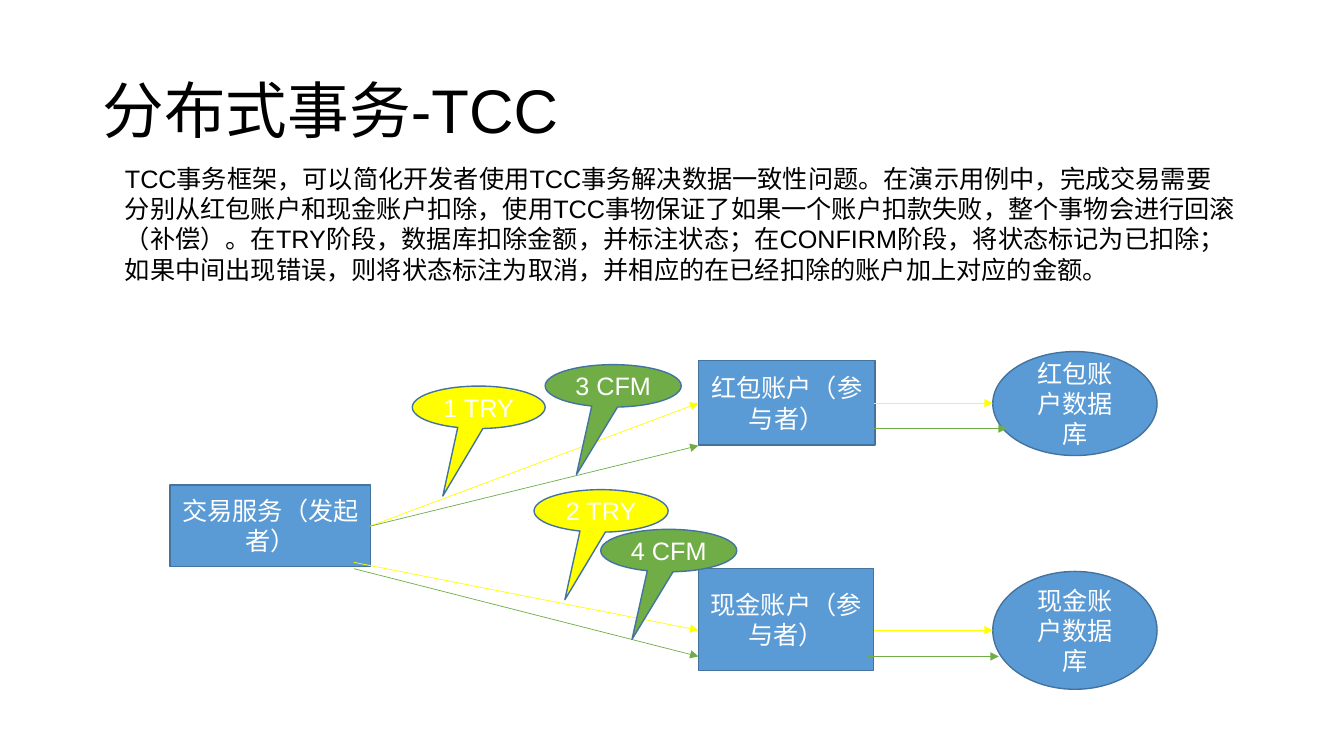
from lxml import etree
from pptx import Presentation
from pptx.dml.color import RGBColor
from pptx.enum import shapes, text
from pptx.oxml.ns import qn
from pptx.util import Cm, Pt

COLORS = {"black": "000000", "white": "FFFFFF", "blue": "5B9BD5",
          "edge": "43739E", "yellow": "FFFF00", "green": "70AD47"}
KIND = shapes.MSO_SHAPE
BODY = ("TCC事务框架，可以简化开发者使用TCC事务解决数据一致性问题。在演示用例中，"
        "完成交易需要分别从红包账户和现金账户扣除，使用TCC事物保证了如果一个账户扣款失败，"
        "整个事物会进行回滚（补偿）。在TRY阶段，数据库扣除金额，并标注状态；"
        "在CONFIRM阶段，将状态标记为已扣除；如果中间出现错误，则将状态标注为取消，"
        "并相应的在已经扣除的账户加上对应的金额。")
NODES = [
    (KIND.RECTANGLE, "交易服务（发起者）", (4.29, 12.22, 5.05, 2.06)),
    (KIND.RECTANGLE, "红包账户（参与者）", (17.6, 9.09, 4.45, 2.13)),
    (KIND.RECTANGLE, "现金账户（参与者）", (17.6, 14.33, 4.42, 2.57)),
    (KIND.OVAL, "红包账户数据库", (25.02, 8.86, 4.14, 2.62)),
    (KIND.OVAL, "现金账户数据库", (25.02, 14.4, 4.14, 2.97)),
]
ARROWS = {
    "yellow": [(9.32, 13.26, 17.6, 10.16), (22.02, 10.16, 25.02, 10.16),
               (8.92, 14.17, 17.6, 15.88), (22.02, 15.88, 25.02, 15.88)],
    "green": [(9.32, 13.26, 17.6, 11.23), (22.02, 10.8, 25.37, 10.8),
              (8.92, 14.33, 17.6, 16.54), (21.84, 16.54, 25.17, 16.54)],
}
CALLS = [
    ("1 TRY", "yellow", (10.39, 9.73, 3.35, 1.07)),
    ("2 TRY", "yellow", (13.46, 12.34, 3.38, 1.07)),
    ("3 CFM", "green", (13.74, 9.19, 3.43, 1.07)),
    ("4 CFM", "green", (15.14, 13.34, 3.43, 1.07)),
]


def paint(name):
    """Return the named colour."""
    return RGBColor.from_string(COLORS[name])


def write(shape, words, size, color, anchor, align, wrap=True):
    """Put one styled paragraph into a shape."""
    frame = shape.text_frame
    frame.text = words
    frame.word_wrap = wrap
    frame.vertical_anchor = anchor
    para = frame.paragraphs[0]
    para.alignment = align
    para.font.name = "Arial"
    para.font.size = Pt(size)
    para.font.color.rgb = paint(color)
    return para


def label(slide, words, box, size, anchor):
    """Add a plain left-aligned text box."""
    shape = slide.shapes.add_textbox(*map(Cm, box))
    return write(shape, words, size, "black", anchor, text.PP_ALIGN.LEFT)


def node(slide, kind, words, box, fill="blue", wrap=True):
    """Add a filled, outlined shape with centred white text."""
    shape = slide.shapes.add_shape(kind, *map(Cm, box))
    shape.shadow.inherit = False
    shape.fill.solid()
    shape.fill.fore_color.rgb = paint(fill)
    shape.line.color.rgb = paint("edge")
    shape.line.width = Pt(1)
    write(shape, words, 18, "white", text.MSO_ANCHOR.MIDDLE,
          text.PP_ALIGN.CENTER, wrap)
    return shape


def callout(slide, words, fill, box):
    """Add an oval callout whose tip points down and left."""
    shape = node(slide, KIND.OVAL_CALLOUT, words, box, fill, wrap=False)
    shape.adjustments[0] = -0.27
    shape.adjustments[1] = 2.09


def arrow(slide, color, ends):
    """Add a thin line with a triangle at its end."""
    line = slide.shapes.add_connector(shapes.MSO_CONNECTOR.STRAIGHT,
                                      *map(Cm, ends))
    line.line.color.rgb = paint(color)
    line.line.width = Pt(0.5)
    props = line.line._get_or_add_ln()
    etree.SubElement(props, qn("a:tailEnd"), type="triangle")
    etree.SubElement(props.getparent(), qn("a:effectLst"))


def main():
    """Build the slide and save it."""
    deck = Presentation()
    deck.slide_width, deck.slide_height = Cm(33.87), Cm(19.05)
    slide = deck.slides.add_slide(deck.slide_layouts[6])
    title = label(slide, "分布式事务-TCC", (2.34, 1.02, 29.21, 3.68), 44,
                  text.MSO_ANCHOR.MIDDLE)
    title.line_spacing = 0.9
    label(slide, BODY, (2.9, 3.99, 28.5, 4.88), 18, text.MSO_ANCHOR.TOP)
    for item in NODES:
        node(slide, *item)
    for color, group in ARROWS.items():
        for ends in group:
            arrow(slide, color, ends)
    for item in CALLS:
        callout(slide, *item)
    deck.save("out.pptx")


main()
